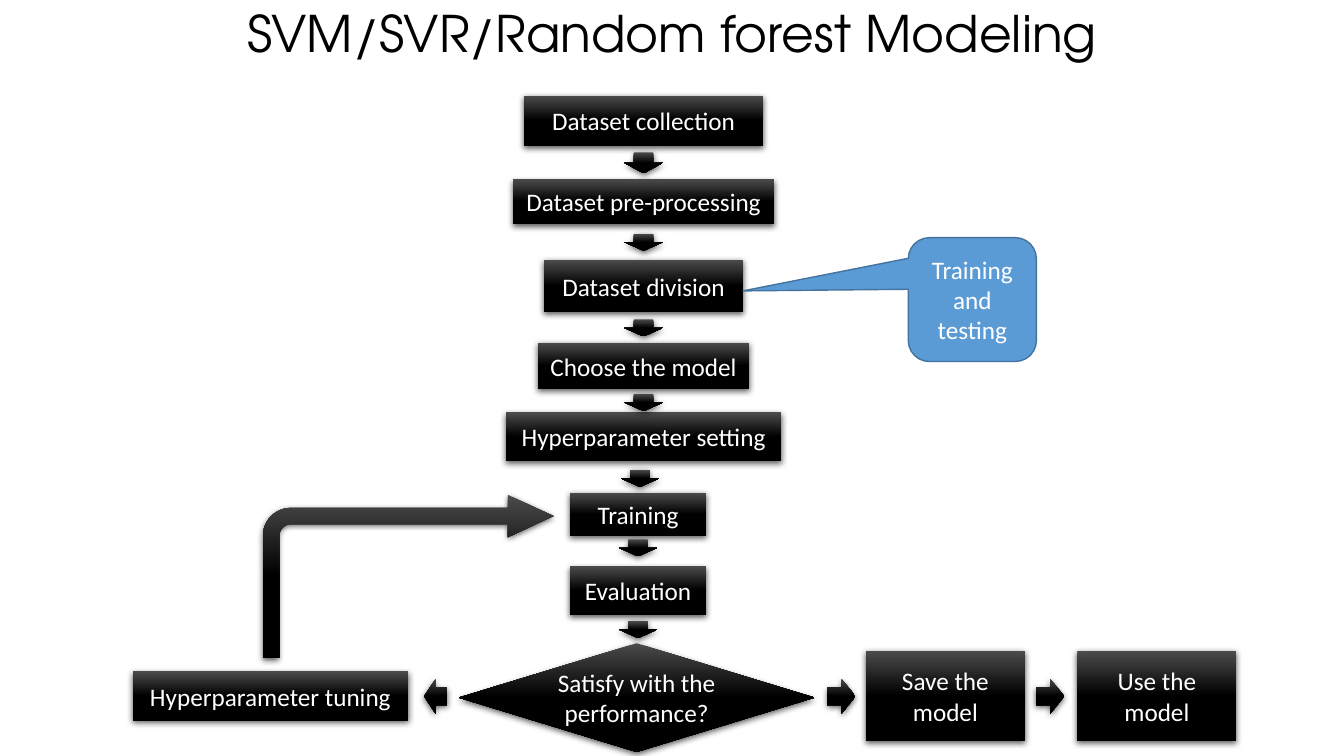
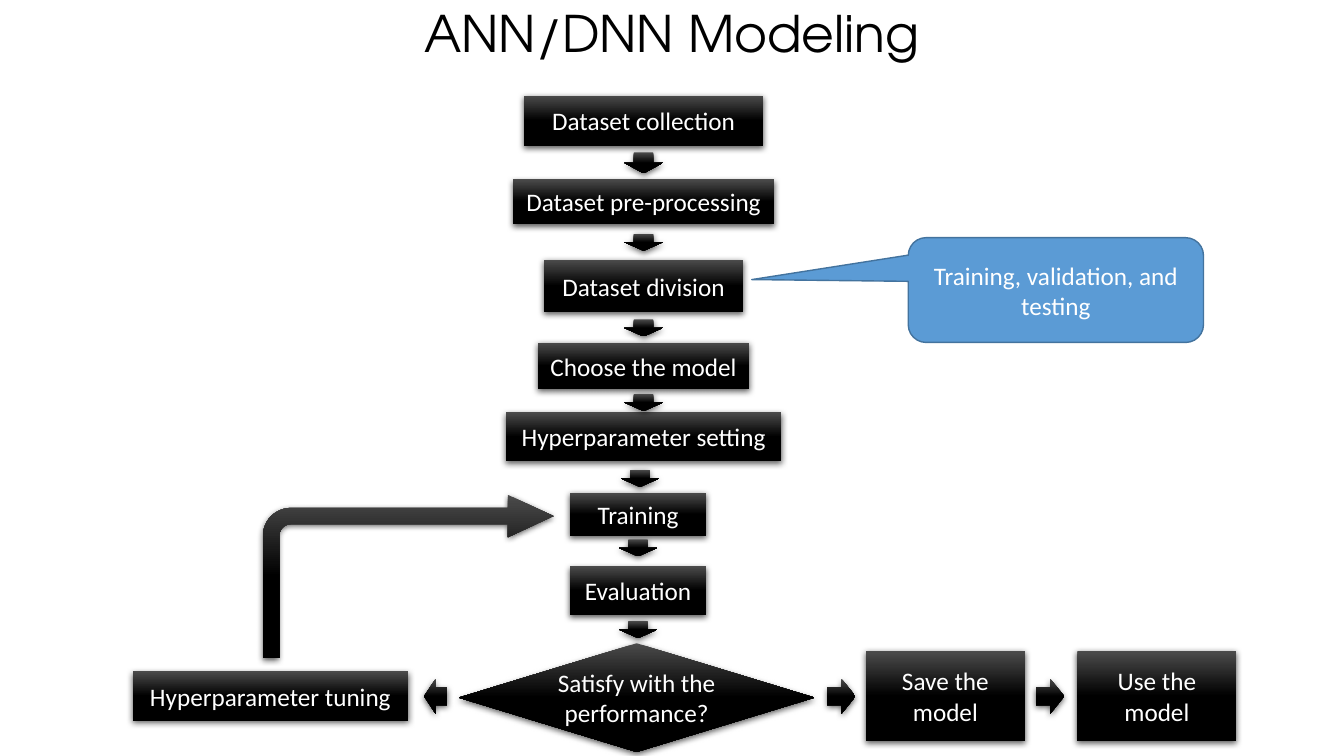
from lxml import etree
from pptx import Presentation
from pptx.dml.color import RGBColor
from pptx.enum.shapes import MSO_SHAPE
from pptx.enum.text import MSO_ANCHOR, PP_ALIGN
from pptx.oxml.ns import qn
from pptx.util import Cm, Pt

BOX = MSO_SHAPE.RECTANGLE
DECISION = MSO_SHAPE.FLOWCHART_DECISION
CALLOUT = MSO_SHAPE.ROUNDED_RECTANGULAR_CALLOUT
DOWN = MSO_SHAPE.DOWN_ARROW
LEFT = MSO_SHAPE.LEFT_ARROW
RIGHT = MSO_SHAPE.RIGHT_ARROW
BENT = MSO_SHAPE.BENT_ARROW
CENTER = PP_ALIGN.CENTER
MIDDLE = MSO_ANCHOR.MIDDLE

BLACK, CHARCOAL, WHITE = "000000", "4B4B4B", "FFFFFF"
BLUE, DARK_BLUE = "5B9BD5", "43739E"

STEPS = [
    ("Dataset collection", 16.22, 2.41, 6.02, 1.27),
    ("Dataset pre-processing", 16.22, 4.52, 6.58, 1.12),
    ("Dataset division", 16.22, 6.55, 5.03, 1.32),
    ("Choose the model", 16.22, 8.64, 5.31, 1.17),
    ("Hyperparameter setting", 16.22, 10.39, 6.93, 1.24),
    ("Training", 16.08, 12.42, 3.45, 1.09),
    ("Evaluation", 16.08, 14.27, 3.45, 1.22),
]
STEP_ARROWS = [
    (16.22, 3.84, 0.53),
    (16.22, 5.89, 0.43),
    (16.22, 8.05, 0.43),
    (16.22, 9.93, 0.43),
    (16.13, 11.84, 0.43),
    (16.08, 13.59, 0.43),
    (16.08, 15.65, 0.43),
]
ARROW_WIDTH = 0.97
OUTCOMES = [
    ("Hyperparameter tuning", 3.35, 16.92, 6.93, 1.24),
    ("Save the model", 21.82, 16.41, 4.01, 2.26),
    ("Use the model", 27.15, 16.41, 4.01, 2.26),
]
OUTCOME_ARROWS = [(LEFT, 10.69, 0.58), (RIGHT, 20.85, 0.71), (RIGHT, 26.11, 0.71)]
MODELS = [
    ("SVM/SVR/Random forest Modeling", "Training and testing",
     3.23, 3.12, [-1.79, -0.07, 0.17]),
    ("ANN/DNN Modeling", "Training, validation, and testing",
     7.44, 2.64, [-1.03, -0.1, 0.17]),
]


def color(value):
    """Return the colour for a hex string."""
    return RGBColor.from_string(value)


class FlowDeck:
    """Hold the deck style and the slide being drawn."""

    title_font = {"name": "TeX Gyre Adventor", "size": Pt(36)}
    label_font = {"name": "Calibri", "size": Pt(18)}
    title_paragraph = {"alignment": CENTER, "line_spacing": 0.9}
    label_paragraph = {"alignment": CENTER}
    frame = {"word_wrap": True, "vertical_anchor": MIDDLE}
    shadow = {"blurRad": Pt(4.5), "dist": Pt(1.5), "dir": 5400000,
              "algn": "ctr", "rotWithShape": 0}

    def __init__(self):
        """Start a wide deck."""
        self.deck = Presentation()
        self.deck.slide_width = Cm(33.87)
        self.deck.slide_height = Cm(19.05)
        self.slide = None

    def add_slide(self, title):
        """Begin a slide with its title."""
        self.slide = self.deck.slides.add_slide(self.deck.slide_layouts[6])
        heading = self.slide.shapes.add_textbox(Cm(2.33), 0, Cm(29.21), Cm(1.85))
        self.label(heading, title, self.title_font, self.title_paragraph, BLACK)

    def label(self, holder, text, font, paragraph_format, ink):
        """Put formatted text in a shape."""
        frame = holder.text_frame
        paragraph = frame.paragraphs[0]
        run = paragraph.add_run()
        run.text = text
        run.font.color.rgb = color(ink)
        for target, values in ((frame, self.frame), (paragraph, paragraph_format),
                               (run.font, font)):
            for key, value in values.items():
                setattr(target, key, value)

    def shape(self, kind, left, top, width, height, text="", adjustments=()):
        """Add a plain shape with an optional label."""
        shape = self.slide.shapes.add_shape(
            kind, Cm(left), Cm(top), Cm(width), Cm(height))
        shape.shadow.inherit = False
        for index, value in enumerate(adjustments):
            shape.adjustments[index] = value
        if text:
            self.label(shape, text, self.label_font, self.label_paragraph, WHITE)
        return shape

    def glossy(self, *place, **content):
        """Add a black gradient shape with a soft shadow."""
        shape = self.shape(*place, **content)
        shape.line.fill.background()
        shape.fill.gradient()
        shape.fill.gradient_angle = 270
        stops = zip(shape.fill.gradient_stops, ((0, CHARCOAL), (0.5, BLACK)))
        for stop, (position, shade) in stops:
            stop.position = position
            stop.color.rgb = color(shade)
        effects = shape.element.spPr.find(qn("a:effectLst"))
        outer = etree.SubElement(effects, qn("a:outerShdw"))
        for key, value in self.shadow.items():
            outer.set(key, str(value))
        tint = etree.SubElement(outer, qn("a:srgbClr"), val=BLACK)
        etree.SubElement(tint, qn("a:alpha"), val="63000")

    def callout(self, text, width, height, pointer):
        """Add the blue note on the dataset division."""
        note = self.shape(CALLOUT, 22.89, 5.99, width, height, text, pointer)
        note.fill.solid()
        note.fill.fore_color.rgb = color(BLUE)
        note.line.color.rgb = color(DARK_BLUE)
        note.line.width = Pt(1)

    def workflow(self):
        """Draw the modelling steps, the decision and its outcomes."""
        for text, center, top, width, height in STEPS:
            self.glossy(BOX, center - width / 2, top, width, height, text=text)
        for center, top, height in STEP_ARROWS:
            self.glossy(DOWN, center - ARROW_WIDTH / 2, top, ARROW_WIDTH, height)
        self.glossy(DECISION, 11.56, 16.21, 8.97, 2.74,
                    text="Satisfy with the performance?")
        for text, *place in OUTCOMES:
            self.glossy(BOX, *place, text=text)
        for direction, left, width in OUTCOME_ARROWS:
            self.glossy(direction, left, 17.1, width, 0.89)
        self.glossy(BENT, 6.63, 12.47, 7.32, 4.11,
                    adjustments=[0.1, 0.13, 0.28, 0.17])


def main():
    """Build and save both model slides."""
    flow = FlowDeck()
    for title, split, width, height, pointer in MODELS:
        flow.add_slide(title)
        flow.workflow()
        flow.callout(split, width, height, pointer)
    flow.deck.save("out.pptx")


if __name__ == "__main__":
    main()
